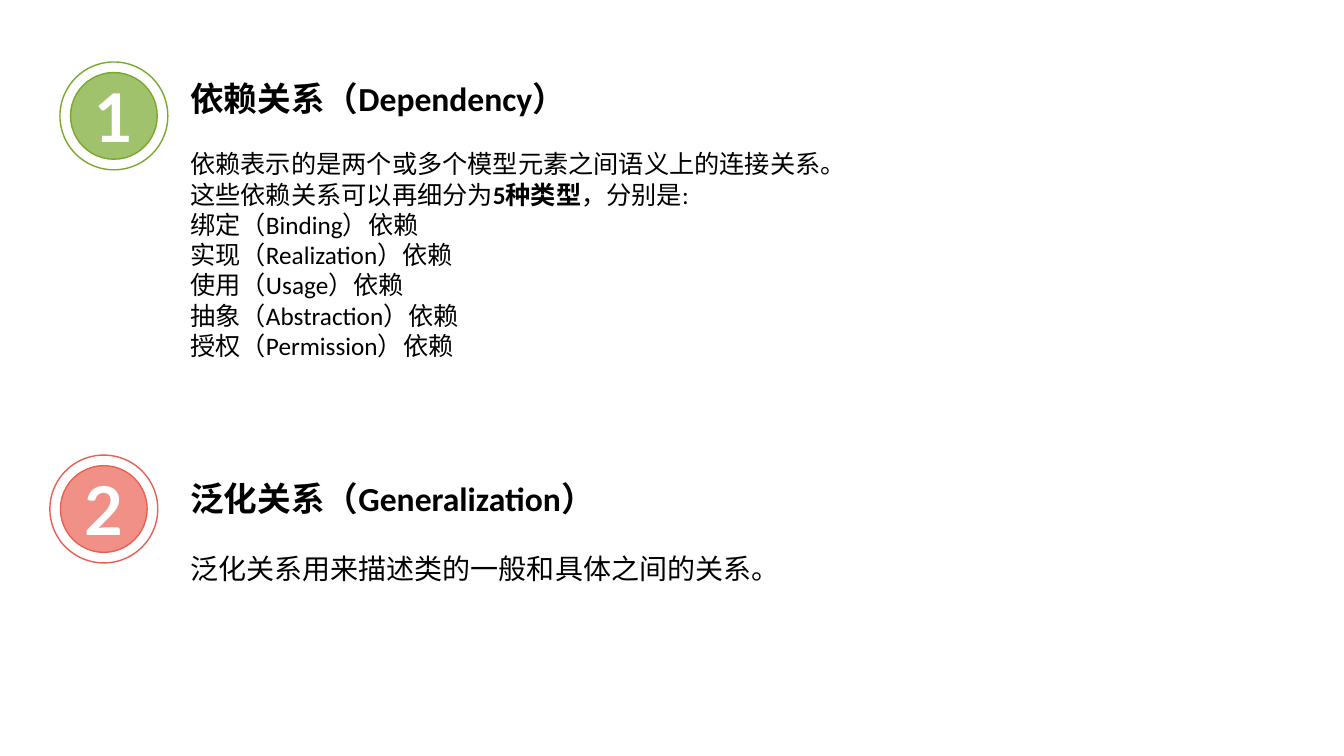
import pptx
import pptx.util
import pptx.dml.color
import pptx.enum.shapes
import pptx.enum.text
import pptx.oxml.ns
from lxml import etree

Inches = pptx.util.Inches
Pt = pptx.util.Pt

ITEMS = [
    {
        "num": "1", "color": "78A82C", "mid": (1.13, 1.15),
        "box": (1.79, 0.72, 6.97, 2.93), "size": 18, "gap": 22,
        "head": "依赖关系（Dependency）",
        "body": [
            [("依赖表示的是两个或多个模型元素之间语义上的连接关系。", False)],
            [("这些依赖关系可以再细分为", False), ("5种类型", True), ("，分别是:", False)],
            [("绑定（Binding）依赖", False)],
            [("实现（Realization）依赖", False)],
            [("使用（Usage）依赖", False)],
            [("抽象（Abstraction）依赖", False)],
            [("授权（Permission）依赖", False)],
        ],
    },
    {
        "num": "2", "color": "EB5F52", "mid": (1.03, 5.05),
        "box": (1.79, 4.69, 6.67, 1.18), "size": 20, "gap": 24,
        "head": "泛化关系（Generalization）",
        "body": [[("泛化关系用来描述类的一般和具体之间的关系。", False)]],
    },
]
OUTER, INNER = 1.07, 0.86
NUM_W, NUM_H = 0.61, 0.91
OPAQUE = 69


def rgb(code):
    return pptx.dml.color.RGBColor.from_string(code)


def style(font, name, size, color, bold):
    font.name = name
    font.size = Pt(size)
    font.color.rgb = rgb(color)
    font.bold = bold


def add_ring(group, mid, size, fill, line):
    x, y = mid
    ring = group.shapes.add_shape(
        pptx.enum.shapes.MSO_SHAPE.OVAL,
        Inches(x - size / 2), Inches(y - size / 2), Inches(size), Inches(size))
    ring.shadow.inherit = False
    ring.fill.solid()
    ring.fill.fore_color.rgb = rgb(fill)
    ring.line.color.rgb = rgb(line)
    ring.line.width = Pt(1)
    qn = pptx.oxml.ns.qn
    tint = ring.fill._xPr.find(qn("a:solidFill")).find(qn("a:srgbClr"))
    etree.SubElement(tint, qn("a:alpha")).set("val", str(OPAQUE * 1000))


def add_badge(slide, item):
    group = slide.shapes.add_group_shape()
    x, y = item["mid"]
    add_ring(group, item["mid"], OUTER, "FFFFFF", item["color"])
    add_ring(group, item["mid"], INNER, item["color"], item["color"])
    label = group.shapes.add_textbox(
        Inches(x - NUM_W / 2), Inches(y - NUM_H / 2), Inches(NUM_W), Inches(NUM_H))
    frame = label.text_frame
    frame.margin_left = frame.margin_right = frame.margin_top = frame.margin_bottom = 0
    frame.word_wrap = True
    frame.vertical_anchor = pptx.enum.text.MSO_ANCHOR.MIDDLE
    frame.text = item["num"]
    para = frame.paragraphs[0]
    para.alignment = pptx.enum.text.PP_ALIGN.CENTER
    style(para.runs[0].font, "Lato", 48, "FFFFFF", True)


def add_text(slide, item):
    box = slide.shapes.add_textbox(*map(Inches, item["box"]))
    frame = box.text_frame
    frame.word_wrap = True
    frame.text = item["head"]
    style(frame.paragraphs[0].runs[0].font, "Calibri", 24, "000000", True)
    for row, parts in enumerate(item["body"]):
        para = frame.add_paragraph()
        if row == 0:
            para.space_before = Pt(item["gap"])
        for text, bold in parts:
            run = para.add_run()
            run.text = text
            style(run.font, "Calibri", item["size"], "000000", bold)


def main():
    deck = pptx.Presentation()
    deck.slide_width = Inches(13.33)
    deck.slide_height = Inches(7.5)
    slide = deck.slides.add_slide(deck.slide_layouts[6])
    for item in ITEMS:
        add_badge(slide, item)
        add_text(slide, item)
    deck.save("out.pptx")


if __name__ == "__main__":
    main()
